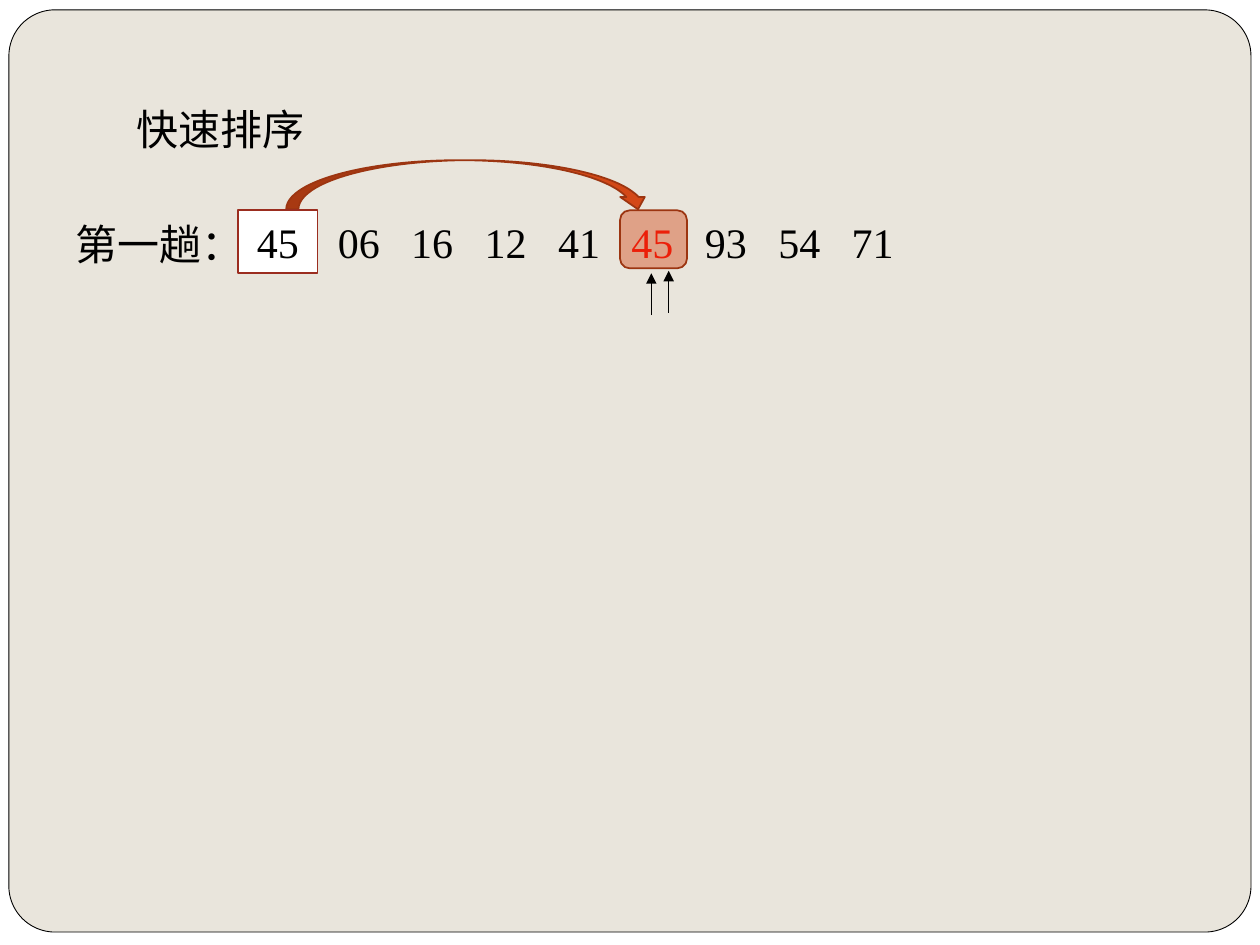
from lxml import etree
from pptx import Presentation
from pptx.dml.color import RGBColor
from pptx.enum import shapes, text
from pptx.oxml import ns
from pptx.util import Cm, Pt

BLACK = RGBColor(0, 0, 0)
WHITE = RGBColor(255, 255, 255)
RED = RGBColor(255, 0, 0)
SAND = RGBColor(0xE9, 0xE5, 0xDC)
RUST = RGBColor(0xD3, 0x48, 0x17)
BROWN = RGBColor(0x9C, 0x35, 0x11)
BRICK = RGBColor(0x9B, 0x2D, 0x1F)
KIND = shapes.MSO_SHAPE


def add_form(kind, x, y, w, h, fill, line, width=1):
    form = slide.shapes.add_shape(kind, Cm(x), Cm(y), Cm(w), Cm(h))
    form.shadow.inherit = False
    form.fill.solid()
    form.fill.fore_color.rgb = fill
    form.line.color.rgb = line
    form.line.width = Pt(width)
    return form


def add_run(para, words, color=BLACK):
    run = para.add_run()
    run.text = words
    run.font.size = Pt(24)
    run.font.name = "Times New Roman"
    run.font.color.rgb = color


deck = Presentation()
deck.slide_width, deck.slide_height = Cm(25.4), Cm(19.05)
slide = deck.slides.add_slide(deck.slide_layouts[5])

panel = add_form(KIND.ROUNDED_RECTANGLE, 0.18, 0.2, 25.04, 18.59, SAND, BLACK, 0.5)
panel.adjustments[0] = 0.05

title = slide.shapes.title
title.element.addprevious(panel.element)
title.left, title.top, title.width, title.height = Cm(2.49), Cm(1.96), Cm(3.89), Cm(1.27)
label = slide.shapes.add_textbox(Cm(1.27), Cm(4.29), Cm(3.89), Cm(1.27))
row = slide.shapes.add_textbox(Cm(6.56), Cm(4.24), Cm(11.73), Cm(1.27))
for box in (title, label, row):
    frame = box.text_frame
    frame.word_wrap = True
    frame.margin_right = 0
    frame.auto_size = text.MSO_AUTO_SIZE.NONE
    frame.vertical_anchor = text.MSO_ANCHOR.TOP
    frame.paragraphs[0].alignment = text.PP_ALIGN.LEFT
add_run(title.text_frame.paragraphs[0], "快速排序")
add_run(label.text_frame.paragraphs[0], "第一趟：")

nums = ["06", "16", "12", "41", "45", "93", "54", "71"]
para = row.text_frame.paragraphs[0]
tabs = etree.SubElement(para._p.get_or_add_pPr(), ns.qn("a:tabLst"))
for i in range(1, len(nums)):
    etree.SubElement(tabs, ns.qn("a:tab"), pos=str(Cm(1.48 * i)), algn="l")
for i, num in enumerate(nums):
    if i:
        add_run(para, "\t")
    add_run(para, num, RED if num == "45" else BLACK)

slot = add_form(KIND.ROUNDED_RECTANGLE, 12.5, 4.24, 1.35, 1.17, RUST, BROWN)
tint = slot.element.spPr.find(ns.qn("a:solidFill"))[0]
etree.SubElement(tint, ns.qn("a:alpha"), val="43000")
add_form(KIND.CURVED_DOWN_ARROW, 5.77, 3.23, 7.34, 0.99, RUST, BROWN)

pivot = add_form(KIND.RECTANGLE, 4.8, 4.24, 1.6, 1.27, WHITE, BRICK)
pivot.text_frame.vertical_anchor = text.MSO_ANCHOR.MIDDLE
para = pivot.text_frame.paragraphs[0]
para.alignment = text.PP_ALIGN.CENTER
add_run(para, "45")

for x, y in ((13.13, 5.51), (13.48, 5.46)):
    mark = slide.shapes.add_connector(
        shapes.MSO_CONNECTOR.STRAIGHT, Cm(x), Cm(y + 0.84), Cm(x), Cm(y))
    mark.line.color.rgb = BLACK
    mark.line.width = Pt(0.75)
    ln = mark.element.spPr.find(ns.qn("a:ln"))
    etree.SubElement(ln, ns.qn("a:tailEnd"), type="triangle")
    etree.SubElement(mark.element.spPr, ns.qn("a:effectLst"))

deck.save("out.pptx")
